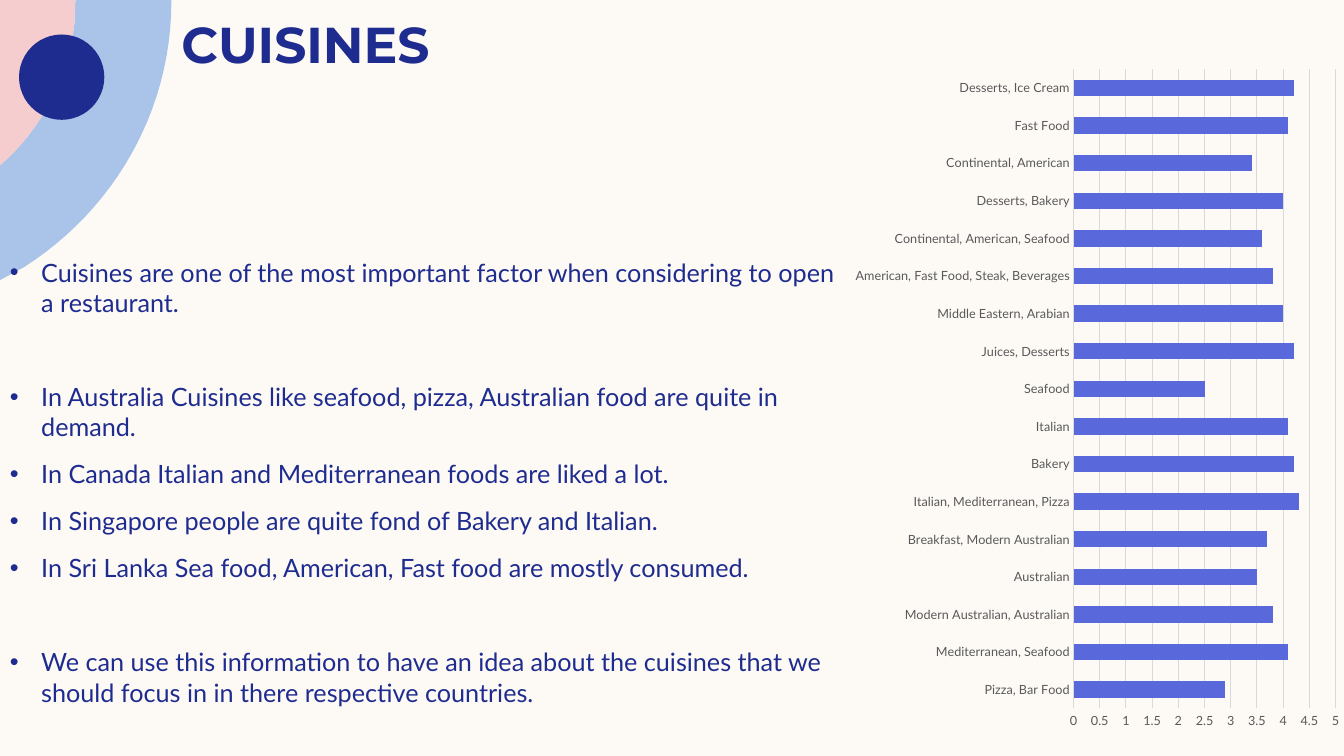
from lxml import etree
from pptx import Presentation
from pptx.chart.data import CategoryChartData
from pptx.dml.color import RGBColor
from pptx.enum.chart import XL_CHART_TYPE, XL_TICK_MARK
from pptx.enum.shapes import MSO_SHAPE
from pptx.enum.text import MSO_ANCHOR, MSO_AUTO_SIZE, PP_ALIGN
from pptx.oxml import parse_xml
from pptx.oxml.ns import nsdecls, qn
from pptx.util import Cm, Pt

CREAM = RGBColor(0xFD, 0xFA, 0xF6)
SKY = RGBColor(0xAA, 0xC3, 0xE8)
PINK = RGBColor(0xF5, 0xCD, 0xCE)
NAVY = RGBColor(0x1F, 0x2C, 0x8F)
INDIGO = RGBColor(0x59, 0x68, 0xDB)
GREY = RGBColor(0x59, 0x59, 0x59)
PALE_GREY = RGBColor(0xD9, 0xD9, 0xD9)

# Each bullet with its space before, in points
BULLETS = [
    ("Cuisines are one of the most important factor when considering to open a restaurant.", 0),
    ("In Australia Cuisines like seafood, pizza, Australian food are quite in demand.", 33.6),
    ("In Canada Italian and Mediterranean foods are liked a lot.", 0),
    ("In Singapore people are quite fond of Bakery and Italian.", 0),
    ("In Sri Lanka Sea food, American, Fast food are mostly consumed.", 0),
    ("We can use this information to have an idea about the cuisines that we should focus in "
     "in there respective countries.", 33.6),
]

RATINGS = {
    "Pizza, Bar Food": 2.9,
    "Mediterranean, Seafood": 4.1,
    "Modern Australian, Australian": 3.8,
    "Australian": 3.5,
    "Breakfast, Modern Australian": 3.7,
    "Italian, Mediterranean, Pizza": 4.3,
    "Bakery": 4.2,
    "Italian": 4.1,
    "Seafood": 2.5,
    "Juices, Desserts": 4.2,
    "Middle Eastern, Arabian": 4,
    "American, Fast Food, Steak, Beverages": 3.8,
    "Continental, American, Seafood": 3.6,
    "Desserts, Bakery": 4,
    "Continental, American": 3.4,
    "Fast Food": 4.1,
    "Desserts, Ice Cream": 4.2,
}


def curve(start, control_1, control_2, end, steps=24):
    """Points along a cubic curve."""
    points = []
    for step in range(steps + 1):
        t = step / steps
        weights = ((1 - t) ** 3, 3 * t * (1 - t) ** 2, 3 * t * t * (1 - t), t ** 3)
        corners = (start, control_1, control_2, end)
        points.append(tuple(sum(w * c[axis] for w, c in zip(weights, corners))
                            for axis in (0, 1)))
    return points


class SlideBuilder:
    heading_font = "Montserrat"
    body_font = "Lato"

    def __init__(self, deck):
        self.page = deck.slides.add_slide(deck.slide_layouts[5])
        self.page.background.fill.solid()
        self.page.background.fill.fore_color.rgb = CREAM

    def paint(self, shape, color):
        shape.shadow.inherit = False
        shape.fill.solid()
        shape.fill.fore_color.rgb = color
        shape.line.fill.background()

    def outline(self, points, color):
        corners = [(Cm(x), Cm(y)) for x, y in points]
        builder = self.page.shapes.build_freeform(*corners[0])
        builder.add_line_segments(corners[1:], close=True)
        self.paint(builder.convert_to_shape(), color)

    def circle(self, left, top, size, color):
        shape = self.page.shapes.add_shape(
            MSO_SHAPE.OVAL, Cm(left), Cm(top), Cm(size), Cm(size))
        self.paint(shape, color)

    def frame(self, box, anchor):
        frame = box.text_frame
        frame.word_wrap = True
        frame.auto_size = MSO_AUTO_SIZE.NONE
        frame.vertical_anchor = anchor
        frame.margin_left = frame.margin_right = Cm(0.25)
        frame.margin_top = frame.margin_bottom = 0
        return frame

    def add_text(self, para, text, font, size, bold=False):
        para.alignment = PP_ALIGN.LEFT
        span = para.add_run()
        span.text = text
        span.font.name, span.font.size, span.font.bold = font, Pt(size), bold
        span.font.color.rgb = NAVY

    def title(self, text, left, top, width, height):
        box = self.page.shapes.title
        box.left, box.top, box.width, box.height = Cm(left), Cm(top), Cm(width), Cm(height)
        frame = self.frame(box, MSO_ANCHOR.BOTTOM)
        self.add_text(frame.paragraphs[0], text, self.heading_font, 36, bold=True)

    def bullets(self, items, left, top, width, height):
        box = self.page.shapes.add_textbox(Cm(left), Cm(top), Cm(width), Cm(height))
        frame = self.frame(box, MSO_ANCHOR.TOP)
        for index, (text, space_before) in enumerate(items):
            para = frame.add_paragraph() if index else frame.paragraphs[0]
            if space_before:
                para.space_before = Pt(space_before)
            para.space_after = Pt(12)
            properties = para._p.get_or_add_pPr()
            properties.set("marL", str(Cm(0.79)))
            properties.set("indent", str(-Cm(0.79)))
            etree.SubElement(properties, qn("a:buFont")).set("typeface", "Arial")
            etree.SubElement(properties, qn("a:buChar")).set("char", "•")
            self.add_text(para, text, self.body_font, 18)

    def bar_chart(self, values, left, top, width, height):
        data = CategoryChartData()
        data.categories = list(values)
        data.add_series("Series 1", list(values.values()))
        chart = self.page.shapes.add_chart(
            XL_CHART_TYPE.BAR_CLUSTERED, Cm(left), Cm(top), Cm(width), Cm(height), data).chart
        chart.has_legend = chart.has_title = False
        chart.font.name, chart.font.size = self.body_font, Pt(10)

        # Bars
        plot = chart.plots[0]
        plot.gap_width = 130
        plot.vary_by_categories = False
        fill = plot.series[0].format.fill
        fill.solid()
        fill.fore_color.rgb = INDIGO

        # Axes
        for axis in (chart.category_axis, chart.value_axis):
            axis.major_tick_mark = axis.minor_tick_mark = XL_TICK_MARK.NONE
            font = axis.tick_labels.font
            font.name, font.size, font.color.rgb = self.body_font, Pt(9), GREY
        value_axis = chart.value_axis
        value_axis.minimum_scale, value_axis.maximum_scale = 0, 5
        value_axis.major_unit = 0.5
        value_axis.has_major_gridlines = True
        value_axis.format.line.fill.background()
        for line in (chart.category_axis.format.line, value_axis.major_gridlines.format.line):
            line.color.rgb = PALE_GREY
            line.width = Pt(0.75)

        # Plot area within the chart frame
        area = chart._chartSpace.chart.plotArea
        for old in area.findall(qn("c:layout")):
            area.remove(old)
        places = "".join(f'<c:{name} val="{value}"/>' for name, value in (
            ("layoutTarget", "inner"), ("xMode", "edge"), ("yMode", "edge"),
            ("x", 0.45), ("y", 0.02), ("w", 0.52), ("h", 0.93)))
        area.insert(0, parse_xml(
            f'<c:layout {nsdecls("c")}><c:manualLayout>{places}</c:manualLayout></c:layout>'))


def main():
    deck = Presentation()
    deck.slide_width, deck.slide_height = Cm(33.87), Cm(19.05)
    slide = SlideBuilder(deck)

    # Corner decoration
    inner_edge = [(1.9, 0)] + curve((1.88, 0.56), (1.73, 1.85), (1.17, 3.02), (0.28, 3.91))
    inner_edge.append((0, 4.17))
    outer_edge = [(4.32, 0)] + curve((4.32, 0.03), (4.32, 2.84), (2.84, 5.31), (0.61, 6.73))
    outer_edge.append((0, 7.06))
    slide.outline(outer_edge + inner_edge[::-1], SKY)
    slide.outline([(0, 0)] + inner_edge, PINK)
    slide.circle(0.48, 0.87, 2.15, NAVY)

    # Text and chart
    slide.title("CUISINES", 4.32, 0, 8.08, 1.85)
    slide.bullets(BULLETS, 0, 6.48, 21.34, 12.24)
    slide.bar_chart(RATINGS, 21.34, 1.4, 12.7, 17.32)

    deck.save("out.pptx")


if __name__ == "__main__":
    main()
